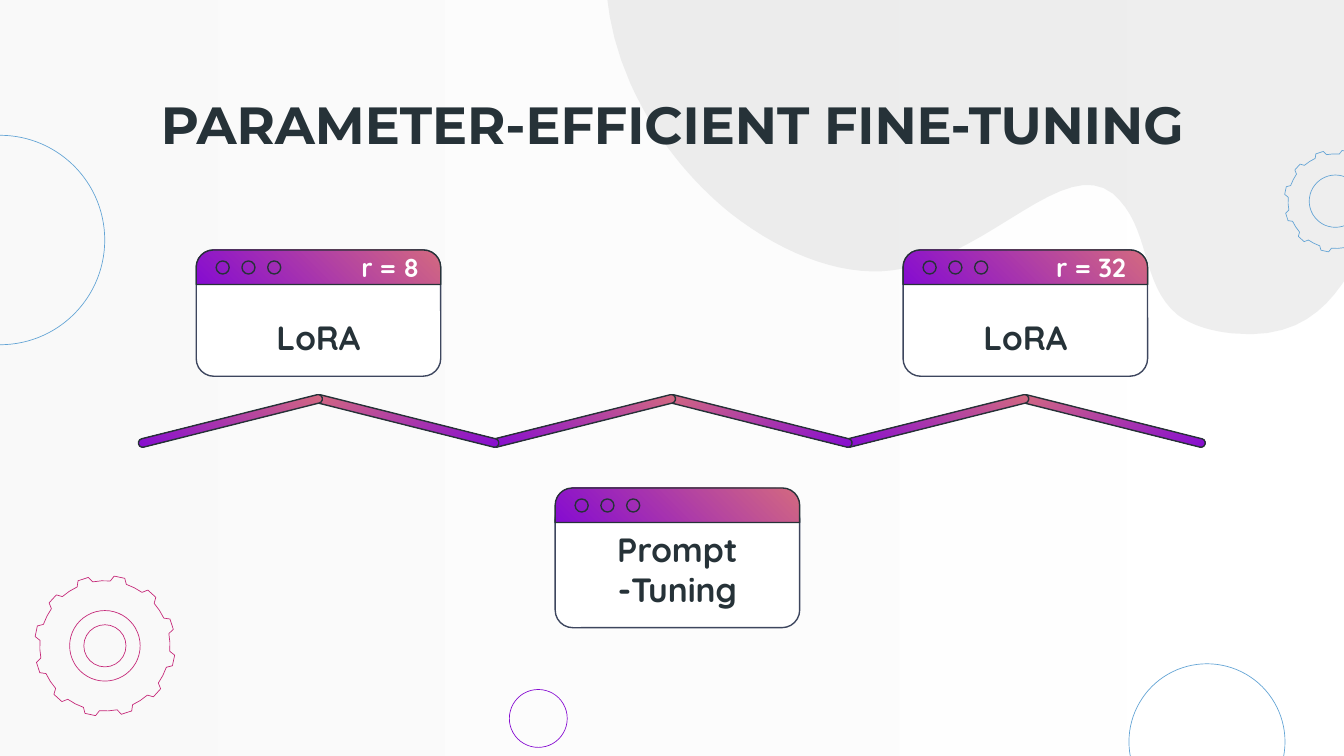
"""Build the parameter-efficient fine-tuning slide."""
from dataclasses import dataclass
from math import cos, radians, sin

from lxml.etree import SubElement
from pptx import Presentation
from pptx.dml.color import RGBColor
from pptx.enum.shapes import MSO_SHAPE as Kind
from pptx.enum.text import MSO_ANCHOR as Anchor, MSO_AUTO_SIZE as Fit, PP_ALIGN as Align
from pptx.oxml.ns import qn
from pptx.util import Pt


@dataclass(frozen=True)
class Theme:
    ink: str = "263238"
    edge: str = "3D465E"
    white: str = "FFFFFF"
    mist: str = "F3F3F3"
    gray: str = "D6D7D7"
    pink: str = "D36980"
    plum: str = "860CD1"
    blue: str = "63A4D5"
    rose: str = "C52878"
    head: str = "Montserrat"
    body: str = "Quicksand"
    title: int = 28
    label: int = 18
    tag: int = 14
    thin: float = 0.36
    line: float = 0.75
    alpha: int = 41


T = Theme()
TITLE = "PARAMETER-EFFICIENT FINE-TUNING"

# label, left, bar top, body drop, tag, tag left, tag width
CARDS = [
    ("LoRA", 105.1, 133.9, 0, "r = 8", 186.5, 59),
    ("Prompt -Tuning", 297.4, 261.4, 7.2, "", 0, 0),
    ("LoRA", 483.8, 133.9, 0, "r = 32", 558.7, 59),
]
RINGS = [(288.4, 384.9, 15.5, T.plum), (0, 128.6, 56.1, T.blue), (646.6, 397.4, 41.8, T.blue)]
GEARS = [(56.2, 346, 37.7, T.rose, (18.9, 11.3)), (715.4, 107.8, 27.4, T.blue, (14,))]
BLOB = [
    (391.7, 114.5),
    (421.2, 137.5), (455, 149.8), (483.1, 144),
    (531.4, 135.4), (570.2, 83.5), (596.2, 103.7),
    (617, 121.7), (610.6, 151.9), (630.7, 168.5),
    (637.2, 173.5), (646.6, 177.1), (660.2, 178.6),
    (716.4, 184.3), (722.9, 136.8), (741.6, 118.8),
    (746.6, 114.5), (750.2, 114.5), (753.8, 117.4),
    (763.9, 125.3), (771.8, 149.8), (788.4, 163.4),
    (792, 165.6), (795.6, 167.8), (799.2, 169.2),
    (831.6, 181.4), (862.6, 167), (870.5, 150.5),
    (879.1, 134.6), (905.8, 126.7), (905.8, 126.7),
    (905.8, 126.7), (453.6, -231.8), (453.6, -231.8),
    (453.6, -231.8), (374.4, -146.2), (337, -76.3),
    (337, -76.3), (308.2, -21.6), (337.7, 44.6),
    (350.6, 73.4), (370.1, 97.2), (391.7, 114.5),
]


def tint(name):
    return RGBColor.from_string(name)


def style(shape, fill=None, line=None, width=T.line, angle=225, alpha=None):
    shape.shadow.inherit = False
    if isinstance(fill, tuple):
        shape.fill.gradient()
        shape.fill.gradient_angle = angle
        for stop, name in zip(shape.fill.gradient_stops, fill):
            stop.color.rgb = tint(name)
    elif fill:
        shape.fill.solid()
        shape.fill.fore_color.rgb = tint(fill)
    else:
        shape.fill.background()
    if alpha:
        for node in shape._element.spPr.iter(qn("a:srgbClr")):
            SubElement(node, qn("a:alpha")).set("val", str(alpha * 1000))
    if line:
        shape.line.color.rgb = tint(line)
        shape.line.width = Pt(width)
    else:
        shape.line.fill.background()
    return shape


def add(kind, left, top, wide, high, **look):
    return style(shapes.add_shape(kind, Pt(left), Pt(top), Pt(wide), Pt(high)), **look)


def ring(x, y, size, line, width=T.thin):
    add(Kind.OVAL, x - size, y - size, 2 * size, 2 * size, line=line, width=width)


def outline(dots, **look):
    dots = [(Pt(x), Pt(y)) for x, y in dots]
    pen = shapes.build_freeform(*dots[0], scale=1.0)
    pen.add_line_segments(dots[1:], close=True)
    style(pen.convert_to_shape(), **look)


def curve(dots, steps=16):
    for i in range(0, len(dots) - 1, 3):
        for k in range(steps):
            t = k / steps
            mix = ((1 - t) ** 3, 3 * t * (1 - t) ** 2, 3 * t * t * (1 - t), t ** 3)
            yield tuple(sum(m * d[a] for m, d in zip(mix, dots[i:i + 4])) for a in (0, 1))


def gear(x, y, size, line, holes):
    tooth = [(-7.2, 0.925), (-4.4, 1), (4.4, 1), (7.2, 0.925), (15, 0.925)]
    rim = []
    for turn in range(12, 372, 30):
        for shift, part in tooth:
            arc = radians(180 + turn + shift)
            rim.append((x + size * part * cos(arc), y + size * part * sin(arc)))
    outline(rim, line=line, width=T.thin)
    for hole in holes:
        ring(x, y, hole, line)


def write(shape, text, size, font, color, align, anchor, pad):
    frame = shape.text_frame
    frame.word_wrap = True
    frame.vertical_anchor = anchor
    frame.margin_left = frame.margin_right = Pt(7.2)
    frame.margin_top = frame.margin_bottom = Pt(pad)
    para = frame.paragraphs[0]
    para.text, para.alignment = text, align
    para.font.size, para.font.name, para.font.bold = Pt(size), font, True
    para.font.color.rgb = tint(color)
    return frame


def box(left, top, wide, high):
    return shapes.add_textbox(Pt(left), Pt(top), Pt(wide), Pt(high))


def card(label, left, top, drop, tag, start, span):
    body = add(Kind.ROUNDED_RECTANGLE, left, top + drop, 131, 67.7, fill=T.white, line=T.edge)
    body.adjustments[0] = 0.14
    write(body, label, T.label, T.body, T.ink, Align.CENTER, Anchor.BOTTOM, 7.2)
    bar = add(Kind.ROUND_2_SAME_RECTANGLE, left, top, 131, 18.5, fill=(T.pink, T.plum), line=T.ink)
    bar.adjustments[0], bar.adjustments[1] = 0.5, 0
    for i in range(3):
        ring(left + 14.2 + 13.8 * i, top + 9.4, 3.5, T.ink, T.line)
    if tag:
        frame = write(box(start, top - 2.9, span, 24.5), tag, T.tag, T.body, T.white,
                      Align.LEFT, Anchor.TOP, 3.6)
        frame.auto_size = Fit.SHAPE_TO_FIT_TEXT


def zigzag(count=6, left=72.7, step=94.6):
    for i in reversed(range(count)):
        rod = add(Kind.ROUNDED_RECTANGLE, left + step * i, 223.2, 101.5, 4.6,
                  fill=(T.pink, T.plum), line=T.ink)
        rod.adjustments[0] = 0.5
        rod.rotation = 14.1 if i % 2 else 345.9
        if i % 2:
            rod._element.spPr.find(qn("a:xfrm")).set("flipH", "1")


deck = Presentation()
deck.slide_width, deck.slide_height = Pt(720), Pt(405)
shapes = deck.slides.add_slide(deck.slide_layouts[6]).shapes

add(Kind.RECTANGLE, -5, -5, 730, 415.4, fill=(T.white, T.mist), angle=180, alpha=T.alpha)
outline(curve(BLOB), fill=T.gray, alpha=T.alpha)
for item in RINGS:
    ring(*item)
for item in GEARS:
    gear(*item)
write(box(56.2, 51.8, 607.7, 28.8), TITLE, T.title, T.head, T.ink,
      Align.CENTER, Anchor.MIDDLE, 7.2)
zigzag()
for item in CARDS:
    card(*item)
deck.save("out.pptx")
